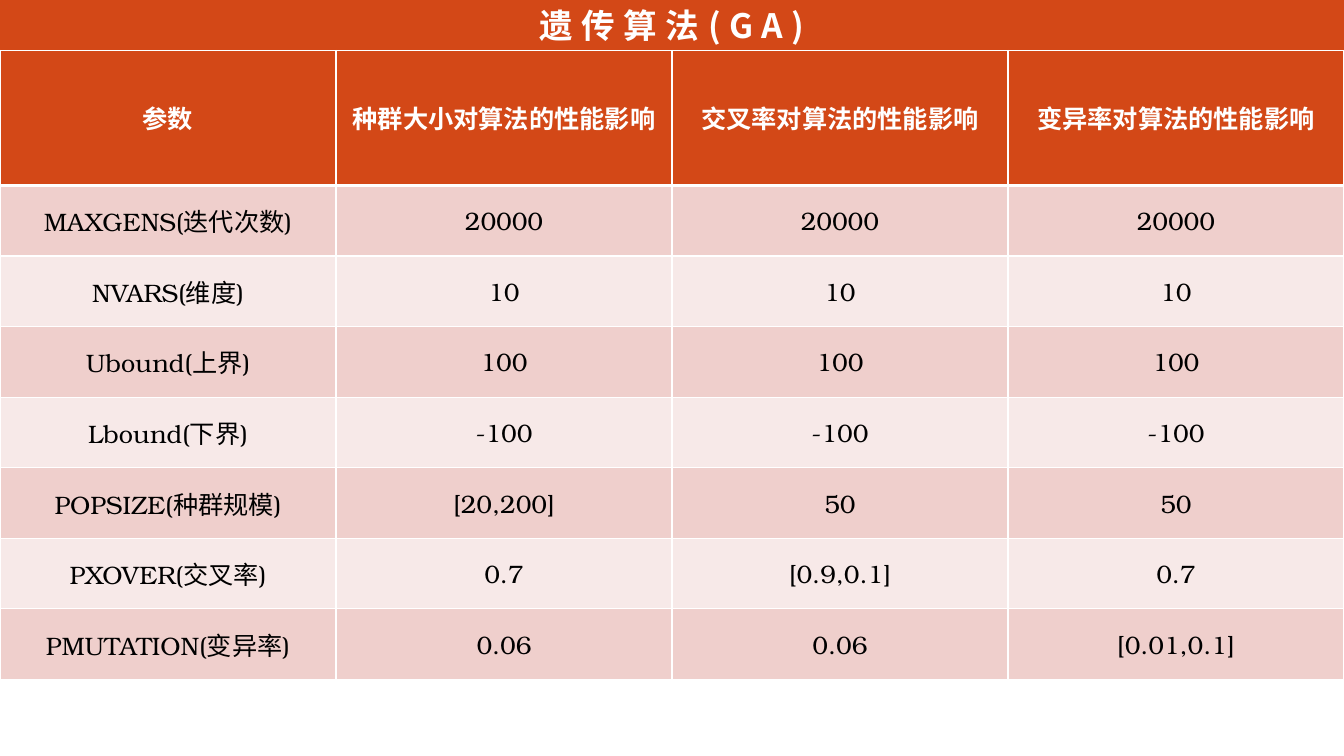
from lxml.etree import SubElement
from pptx import Presentation
from pptx.dml.color import RGBColor
from pptx.enum.shapes import MSO_SHAPE
from pptx.enum.text import MSO_ANCHOR, PP_ALIGN
from pptx.oxml.ns import qn
from pptx.util import Inches, Pt

TITLE = "遗传算法(GA)"
HEADINGS = ("参数", "种群大小对算法的性能影响", "交叉率对算法的性能影响", "变异率对算法的性能影响")
PARAMETERS = [
    ("MAXGENS(迭代次数)", "20000", "20000", "20000"),
    ("NVARS(维度)", "10", "10", "10"),
    ("Ubound(上界)", "100", "100", "100"),
    ("Lbound(下界)", "-100", "-100", "-100"),
    ("POPSIZE(种群规模)", "[20,200]", "50", "50"),
    ("PXOVER(交叉率)", "0.7", "[0.9,0.1]", "0.7"),
    ("PMUTATION(变异率)", "0.06", "0.06", "[0.01,0.1]"),
]
COLORS = {
    "accent": "D34817",
    "dark_band": "EFCFCC",
    "light_band": "F7E9E8",
    "white": "FFFFFF",
    "black": "000000",
}
HAN_FONT = "Noto Sans CJK SC"
LATIN_FONT = "TeX Gyre Bonum"
SLIDE_WIDTH, SLIDE_HEIGHT = 13.33, 7.5
TITLE_HEIGHT, HEADING_HEIGHT, ROW_HEIGHT = 0.5, 1.34, 0.7


def rgb(name):
    return RGBColor.from_string(COLORS[name])


def write(frame, text, size, latin, color, bold, spacing=0):
    paragraph = frame.paragraphs[0]
    paragraph.text = text
    paragraph.alignment = PP_ALIGN.CENTER
    font = paragraph.font
    font.size, font.bold, font.name = Pt(size), bold, latin
    font.color.rgb = rgb(color)
    properties = paragraph._p.pPr.find(qn("a:defRPr"))
    SubElement(properties, qn("a:ea")).set("typeface", HAN_FONT)
    if spacing:
        properties.set("spc", str(spacing * 100))


def add_borders(cell, top, bottom):
    properties = cell._tc.get_or_add_tcPr()
    for side, width in (("L", 1), ("R", 1), ("T", top), ("B", bottom)):
        line = SubElement(properties, qn(f"a:ln{side}"), w=str(Pt(width)))
        fill = SubElement(line, qn("a:solidFill"))
        SubElement(fill, qn("a:srgbClr"), val=COLORS["white"])


def add_title(slide):
    banner = slide.shapes.add_shape(
        MSO_SHAPE.RECTANGLE, 0, 0, Inches(SLIDE_WIDTH), Inches(TITLE_HEIGHT))
    banner.shadow.inherit = False
    banner.fill.solid()
    banner.fill.fore_color.rgb = rgb("accent")
    banner.line.fill.background()
    banner.text_frame.word_wrap = True
    banner.text_frame.vertical_anchor = MSO_ANCHOR.MIDDLE
    write(banner.text_frame, TITLE, 24, HAN_FONT, "white", True, spacing=6)


def add_parameters(slide):
    rows = [HEADINGS, *PARAMETERS]
    heights = [HEADING_HEIGHT] + [ROW_HEIGHT] * len(PARAMETERS)
    table = slide.shapes.add_table(
        len(rows), len(HEADINGS), 0, Inches(TITLE_HEIGHT),
        Inches(SLIDE_WIDTH), Inches(sum(heights))).table
    for column in table.columns:
        column.width = Inches(SLIDE_WIDTH / len(HEADINGS))
    for r, (values, height) in enumerate(zip(rows, heights)):
        table.rows[r].height = Inches(height)
        heading = r == 0
        band = "accent" if heading else "dark_band" if r % 2 else "light_band"
        for c, value in enumerate(values):
            cell = table.cell(r, c)
            add_borders(cell, 3 if r == 1 else 1, 3 if heading else 1)
            cell.fill.solid()
            cell.fill.fore_color.rgb = rgb(band)
            cell.vertical_anchor = MSO_ANCHOR.MIDDLE
            write(cell.text_frame, value, 18, LATIN_FONT,
                  "white" if heading else "black", heading)


def main():
    deck = Presentation()
    deck.slide_width, deck.slide_height = Inches(SLIDE_WIDTH), Inches(SLIDE_HEIGHT)
    slide = deck.slides.add_slide(deck.slide_layouts[6])
    add_title(slide)
    add_parameters(slide)
    deck.save("out.pptx")


if __name__ == "__main__":
    main()
